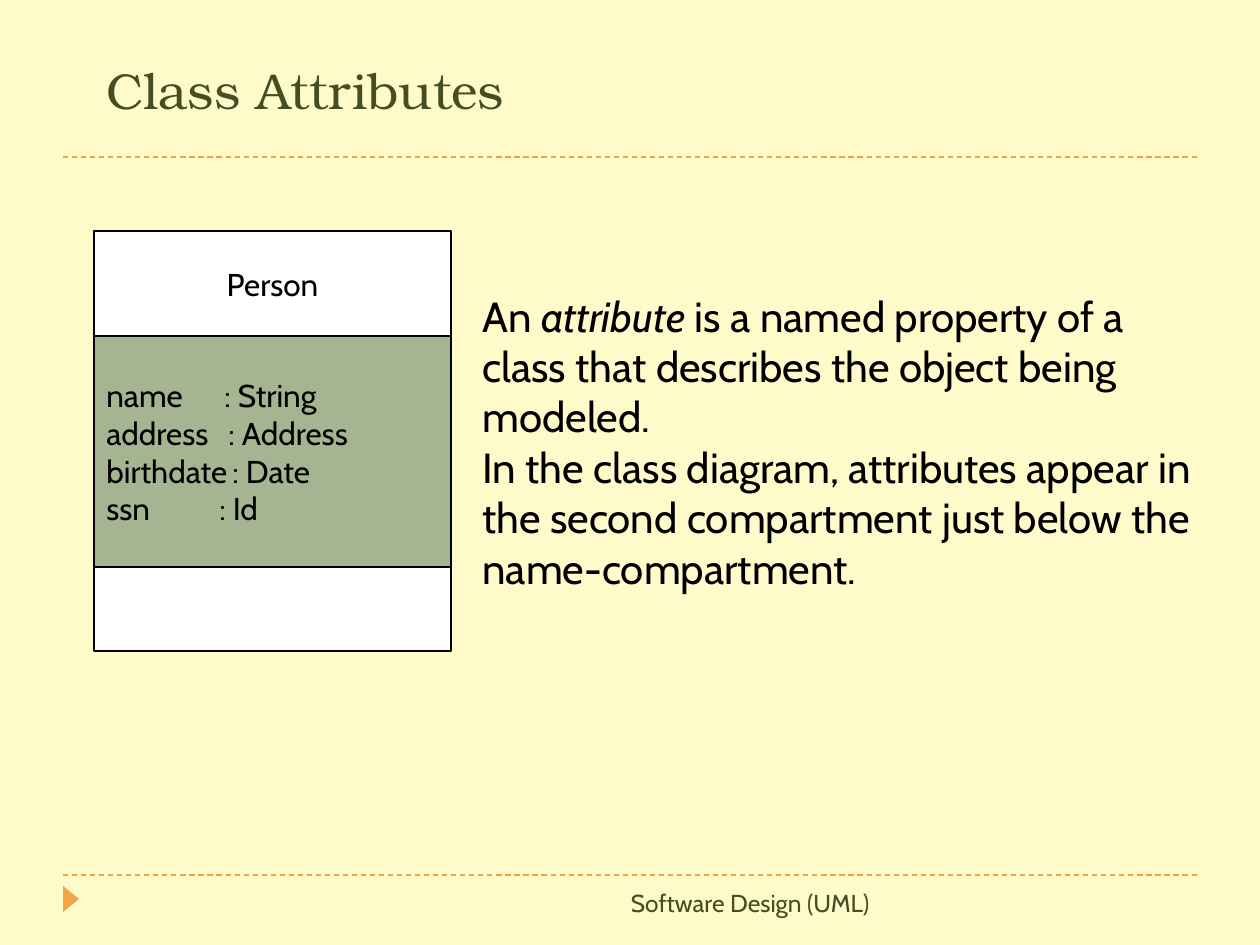
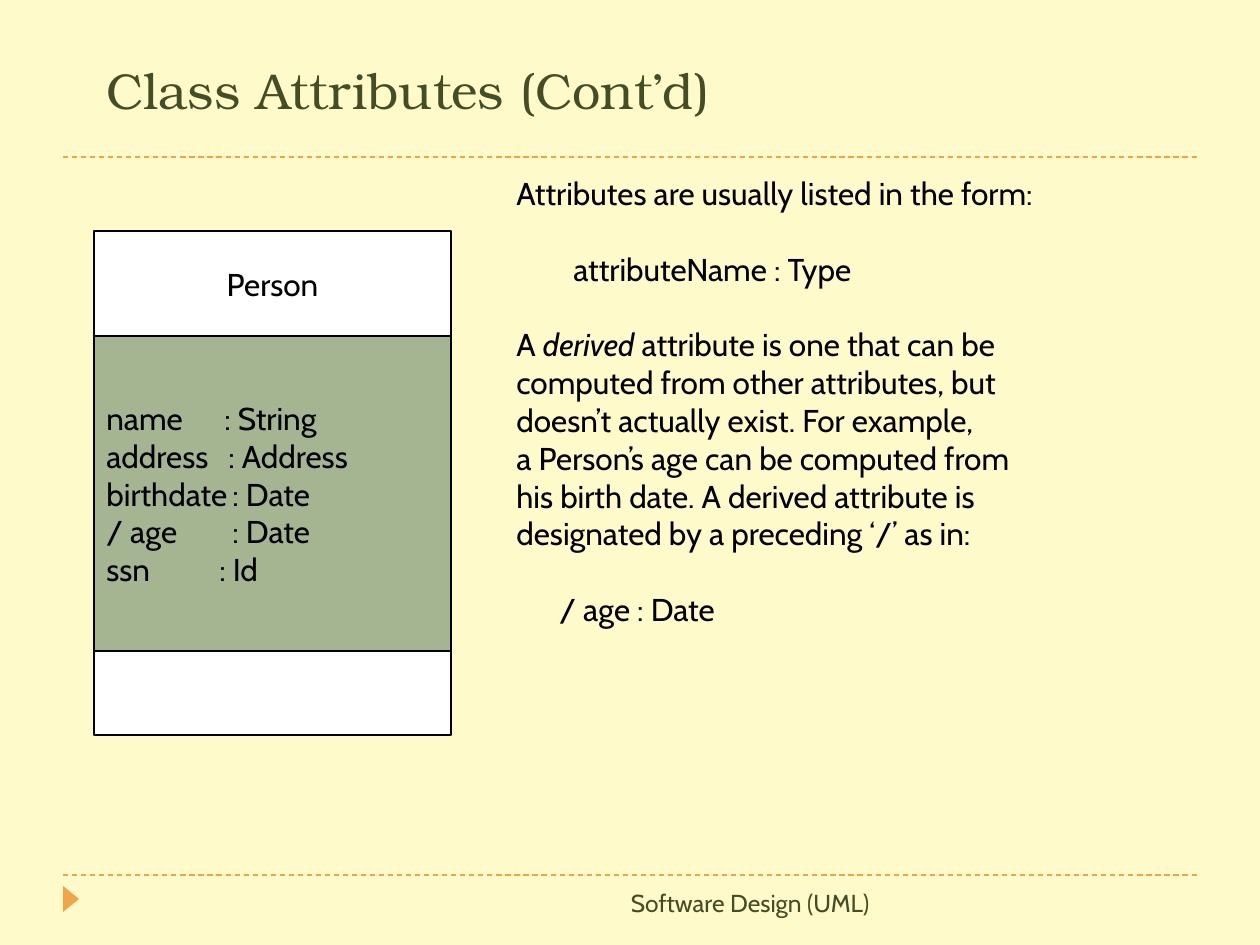
from lxml import etree
from pptx import Presentation
from pptx import util as u
from pptx.dml.color import RGBColor
from pptx.enum import dml, shapes, text
from pptx.oxml.ns import qn

PX = u.Inches(1) / 126
CREAM, WHITE, BLACK = "FEFAC9", "FFFFFF", "000000"
ORANGE, OLIVE, SAGE = "F3A447", "444D26", "A5B592"
BODY_FONT, TITLE_FONT = "Cabin", "TeX Gyre Bonum"
BOX_LEFT, BOX_TOP, BOX_WIDTH = 94, 231, 357
NAME_HEIGHT, OPERATIONS_HEIGHT = 105, 84


def paint(color_format, color):
    """Give a fill or a line one solid colour."""
    fill = getattr(color_format, "fill", color_format)
    fill.solid()
    fill.fore_color.rgb = RGBColor.from_string(color)


def write(shape, lines, size, color=BLACK, font=BODY_FONT,
          align=text.PP_ALIGN.LEFT, anchor=text.MSO_ANCHOR.TOP):
    """Fill a shape from (text, indent px, space before pt, tab px) lines; *...* is italic."""
    frame = shape.text_frame
    frame.word_wrap = True
    frame.vertical_anchor = anchor
    for index, (line, indent, space, tab) in enumerate(lines):
        paragraph = frame.add_paragraph() if index else frame.paragraphs[0]
        paragraph.alignment = align
        if space:
            paragraph.space_before = u.Pt(space)
        properties = paragraph._p.get_or_add_pPr()
        if indent:
            properties.set("marL", str(round(indent * PX)))
        if tab:
            tabs = etree.SubElement(properties, qn("a:tabLst"))
            etree.SubElement(tabs, qn("a:tab"), pos=str(round(tab * PX)), algn="l")
        for part, words in enumerate(line.split("*")):
            run = paragraph.add_run()
            run.text = words
            run.font.name = font
            run.font.size = u.Pt(size)
            run.font.italic = part % 2 == 1
            paint(run.font, color)


# Each attribute has its name, the tab position of its type, and the type
name = ("name", 118, "String")
address = ("address", 122, "Address")
birthdate = ("birthdate", 126, "Date")
age = ("/ age", 126, "Date")
ssn = ("ssn", 113, "Id")

BLANK_LINE = 21.6
pages = [
    {
        "title": "Class Attributes",
        "attributes": [name, address, birthdate, ssn],
        "attributes_height": 231,
        "body_area": (470, 284, 759, 318),
        "body_size": 24,
        "body": [
            ("An *attribute* is a named property of a class that describes "
             "the object being modeled.", 0, 0, 0),
            ("In the class diagram, attributes appear in the second compartment "
             "just below the name-compartment.", 0, 0, 0),
        ],
    },
    {
        "title": "Class Attributes (Cont’d)",
        "attributes": [name, address, birthdate, age, ssn],
        "attributes_height": 315,
        "body_area": (504, 168, 697, 616),
        "body_size": 18,
        "body": [
            ("Attributes are usually listed in the form:", 0, 0, 0),
            ("attributeName : Type", 57, BLANK_LINE, 0),
            ("A *derived* attribute is one that can be", 0, BLANK_LINE, 0),
            ("computed from other attributes, but", 0, 0, 0),
            ("doesn’t actually exist. For example,", 0, 0, 0),
            ("a Person’s age can be computed from", 0, 0, 0),
            ("his birth date. A derived attribute is", 0, 0, 0),
            ("designated by a preceding ‘/’ as in:", 0, 0, 0),
            ("/ age : Date", 43, BLANK_LINE, 0),
        ],
    },
]

presentation = Presentation()
presentation.slide_width = u.Inches(10)
presentation.slide_height = u.Inches(7.5)
paint(presentation.slide_master.background, CREAM)

for page in pages:
    slide = presentation.slides.add_slide(presentation.slide_layouts[6])

    # Dashed rules, footer marker, footer and title
    for rule_y in (875, 157):
        rule = slide.shapes.add_connector(
            shapes.MSO_CONNECTOR.STRAIGHT,
            *(round(value * PX) for value in (63, rule_y, 1197, rule_y)))
        paint(rule.line, ORANGE)
        rule.line.width = u.Pt(0.75)
        rule.line.dash_style = dml.MSO_LINE.DASH
        etree.SubElement(rule._element.spPr, qn("a:effectLst"))

    marker = slide.shapes.add_shape(
        shapes.MSO_SHAPE.ISOSCELES_TRIANGLE,
        *(round(value * PX) for value in (58, 891, 26, 16)))
    marker.rotation = 90
    marker.shadow.inherit = False
    paint(marker, ORANGE)
    marker.line.fill.background()

    footer = slide.shapes.add_textbox(
        *(round(value * PX) for value in (325, 882, 557, 63)))
    write(footer, [("Software Design (UML)", 0, 0, 0)], 14, OLIVE,
          align=text.PP_ALIGN.RIGHT)

    title = slide.shapes.add_textbox(
        *(round(value * PX) for value in (94, 53, 1081, 73)))
    write(title, [(page["title"], 0, 0, 0)], 28.8, OLIVE, TITLE_FONT,
          anchor=text.MSO_ANCHOR.BOTTOM)

    # Class box: name, attributes and operations, stacked
    attribute_lines = [(f"{label}\t: {kind}", 0, 0, tab)
                       for label, tab, kind in page["attributes"]]
    compartments = [
        (NAME_HEIGHT, WHITE, [("Person", 0, 0, 0)], text.PP_ALIGN.CENTER),
        (page["attributes_height"], SAGE, attribute_lines, text.PP_ALIGN.LEFT),
        (OPERATIONS_HEIGHT, WHITE, [], text.PP_ALIGN.LEFT),
    ]
    top = BOX_TOP
    for height, color, lines, align in compartments:
        compartment = slide.shapes.add_shape(
            shapes.MSO_SHAPE.RECTANGLE,
            *(round(value * PX) for value in (BOX_LEFT, top, BOX_WIDTH, height)))
        compartment.shadow.inherit = False
        paint(compartment, color)
        paint(compartment.line, BLACK)
        compartment.line.width = u.Pt(0.75)
        write(compartment, lines, 18, align=align, anchor=text.MSO_ANCHOR.MIDDLE)
        top += height

    body = slide.shapes.add_textbox(
        *(round(value * PX) for value in page["body_area"]))
    write(body, page["body"], page["body_size"])

presentation.save("out.pptx")
